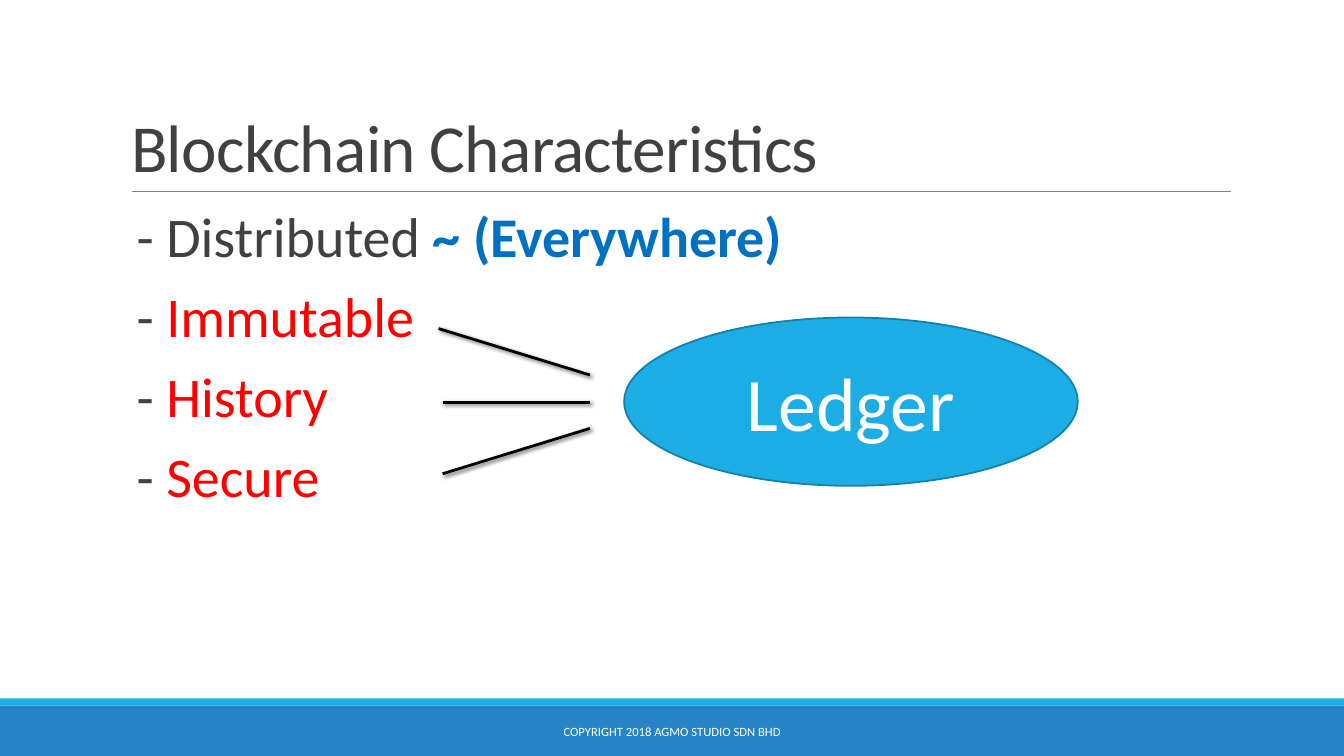
"""Build the blockchain characteristics slide."""
from dataclasses import dataclass
from typing import Any

from lxml import etree
from pptx import Presentation
from pptx.dml.color import RGBColor
from pptx.enum.shapes import MSO_CONNECTOR, MSO_SHAPE
from pptx.enum.text import MSO_ANCHOR, MSO_AUTO_SIZE, PP_ALIGN
from pptx.oxml import parse_xml
from pptx.oxml.ns import nsdecls, qn
from pptx.util import Inches, Pt

STRAIGHT = MSO_CONNECTOR.STRAIGHT
RECTANGLE, OVAL = MSO_SHAPE.RECTANGLE, MSO_SHAPE.OVAL
TOP, MIDDLE, BOTTOM = MSO_ANCHOR.TOP, MSO_ANCHOR.MIDDLE, MSO_ANCHOR.BOTTOM
LEFT, CENTER = PP_ALIGN.LEFT, PP_ALIGN.CENTER
FIXED = MSO_AUTO_SIZE.NONE


@dataclass(frozen=True)
class Theme:
    """Colours, font and type sizes of the slide."""
    font: str = "Calibri"
    ink: str = "404040"
    white: str = "FFFFFF"
    black: str = "000000"
    rule: str = "808080"
    bar: str = "2683C6"
    accent: str = "1CADE4"
    accent_edge: str = "1580A9"
    note: str = "0070C0"
    alert: str = "FF0000"
    title_size: float = 48
    body_size: float = 40
    ledger_size: float = 54
    footer_size: float = 9


@dataclass(frozen=True)
class Box:
    """Left, top, width and height in inches."""
    left: float
    top: float
    width: float
    height: float

    def lengths(self) -> list[Any]:
        """Return the four lengths in slide units."""
        return [Inches(v) for v in (self.left, self.top, self.width, self.height)]


@dataclass(frozen=True)
class Span:
    """A stretch of text in one colour and weight."""
    text: str
    color: str
    bold: bool = False


@dataclass(frozen=True)
class Line:
    """A straight line with its ends in inches."""
    x1: float
    y1: float
    x2: float
    y2: float
    color: str
    width: float
    shadow: bool = False


THEME = Theme()
BARS = [(Box(0, 7, 13.33, 0.5), THEME.bar), (Box(0, 6.93, 13.33, 0.07), THEME.accent)]
TITLE_RULE = Line(1.31, 1.9, 12.21, 1.9, THEME.rule, 0.5)
LEDGER_LINES = [
    Line(x, y, 5.85, end, THEME.black, 2, True)
    for x, y, end in ((4.35, 3.26, 3.72), (4.39, 3.99, 3.99), (4.39, 4.7, 4.25))
]
CHARACTERISTICS = [
    [Span("- Distributed ", THEME.ink), Span("~ (Everywhere)", THEME.note, True)],
    *[[Span("- ", THEME.ink), Span(name, THEME.alert)]
      for name in ("Immutable", "History", "Secure")],
]
SHADOW = (
    '<a:outerShdw blurRad="38100" dist="25400" dir="2700000" rotWithShape="0">'
    f'<a:srgbClr val="{THEME.black}"><a:alpha val="60000"/></a:srgbClr></a:outerShdw>'
)


def set_all(target: Any, values: dict[str, Any]) -> None:
    """Set each named attribute on the target."""
    for name, value in values.items():
        setattr(target, name, value)


def place(shape: Any, box: Box) -> None:
    """Move and size a shape."""
    set_all(shape, dict(zip(("left", "top", "width", "height"), box.lengths())))


def set_frame(frame: Any, anchor: Any, side: float = 0.1) -> None:
    """Format a text frame."""
    set_all(frame, {
        "word_wrap": True, "auto_size": FIXED, "vertical_anchor": anchor,
        "margin_left": Inches(side), "margin_right": Inches(side),
        "margin_top": Inches(0.05), "margin_bottom": Inches(0.05),
    })


def add_span(paragraph: Any, span: Span, size: float) -> Any:
    """Add a formatted run to a paragraph."""
    run = paragraph.add_run()
    run.text = span.text
    set_all(run.font, {"name": THEME.font, "size": Pt(size), "bold": span.bold})
    run.font.color.rgb = RGBColor.from_string(span.color)
    return run


def add_shape(slide: Any, kind: Any, box: Box, fill: str, edge: str = "") -> Any:
    """Add a filled shape with an optional edge."""
    shape = slide.shapes.add_shape(kind, *box.lengths())
    shape.shadow.inherit = False
    shape.fill.solid()
    shape.fill.fore_color.rgb = RGBColor.from_string(fill)
    if edge:
        shape.line.color.rgb = RGBColor.from_string(edge)
        shape.line.width = Pt(1.25)
    else:
        shape.line.fill.background()
    return shape


def add_line(slide: Any, line: Line) -> None:
    """Add a straight line with an optional shadow."""
    ends = [Inches(v) for v in (line.x1, line.y1, line.x2, line.y2)]
    connector = slide.shapes.add_connector(STRAIGHT, *ends)
    connector.line.color.rgb = RGBColor.from_string(line.color)
    connector.line.width = Pt(line.width)
    effect = SHADOW if line.shadow else ""
    connector._element.spPr.append(
        parse_xml(f'<a:effectLst {nsdecls("a")}>{effect}</a:effectLst>'))


def fill_title(title: Any) -> None:
    """Write and format the title."""
    place(title, Box(1.2, 0.31, 11, 1.59))
    set_frame(title.text_frame, BOTTOM)
    paragraph = title.text_frame.paragraphs[0]
    set_all(paragraph, {"alignment": LEFT, "line_spacing": 0.85})
    run = add_span(paragraph, Span("Blockchain Characteristics", THEME.ink), THEME.title_size)
    run.font._element.set("spc", "-50")


def fill_body(body: Any) -> None:
    """Write and format the list of characteristics."""
    place(body, Box(1.2, 2.02, 11, 4.4))
    frame = body.text_frame
    set_frame(frame, TOP, 0)
    for index, spans in enumerate(CHARACTERISTICS):
        paragraph = frame.add_paragraph() if index else frame.paragraphs[0]
        properties = paragraph._p.get_or_add_pPr()
        properties.set("marL", str(Inches(0.1)))
        properties.set("indent", str(-Inches(0.1)))
        bullet_color = etree.SubElement(properties, qn("a:buClr"))
        etree.SubElement(bullet_color, qn("a:srgbClr"), val=THEME.accent)
        etree.SubElement(properties, qn("a:buChar"), char=" ")
        set_all(paragraph, {
            "alignment": LEFT, "line_spacing": 0.9,
            "space_before": Pt(12 if index else 0), "space_after": Pt(2),
        })
        for span in spans:
            add_span(paragraph, span, THEME.body_size)


def fill_label(shape: Any, text: str, size: float) -> None:
    """Write a centred white label."""
    set_frame(shape.text_frame, MIDDLE)
    paragraph = shape.text_frame.paragraphs[0]
    paragraph.alignment = CENTER
    add_span(paragraph, Span(text, THEME.white), size)


def main() -> None:
    """Build and save the slide."""
    deck = Presentation()
    set_all(deck, {"slide_width": Inches(13.33), "slide_height": Inches(7.5)})
    slide = deck.slides.add_slide(deck.slide_layouts[1])
    for box, color in BARS:
        add_shape(slide, RECTANGLE, box, color)
    fill_title(slide.shapes.title)
    fill_body(slide.placeholders[1])
    for line in (TITLE_RULE, *LEDGER_LINES):
        add_line(slide, line)
    ledger = add_shape(slide, OVAL, Box(6.19, 3.15, 4.5, 1.67), THEME.accent, THEME.accent_edge)
    fill_label(ledger, "Ledger", THEME.ledger_size)
    footer = slide.shapes.add_textbox(*Box(4.03, 7.06, 5.27, 0.4).lengths())
    fill_label(footer, "COPYRIGHT 2018 AGMO STUDIO SDN BHD", THEME.footer_size)
    deck.save("out.pptx")


if __name__ == "__main__":
    main()
